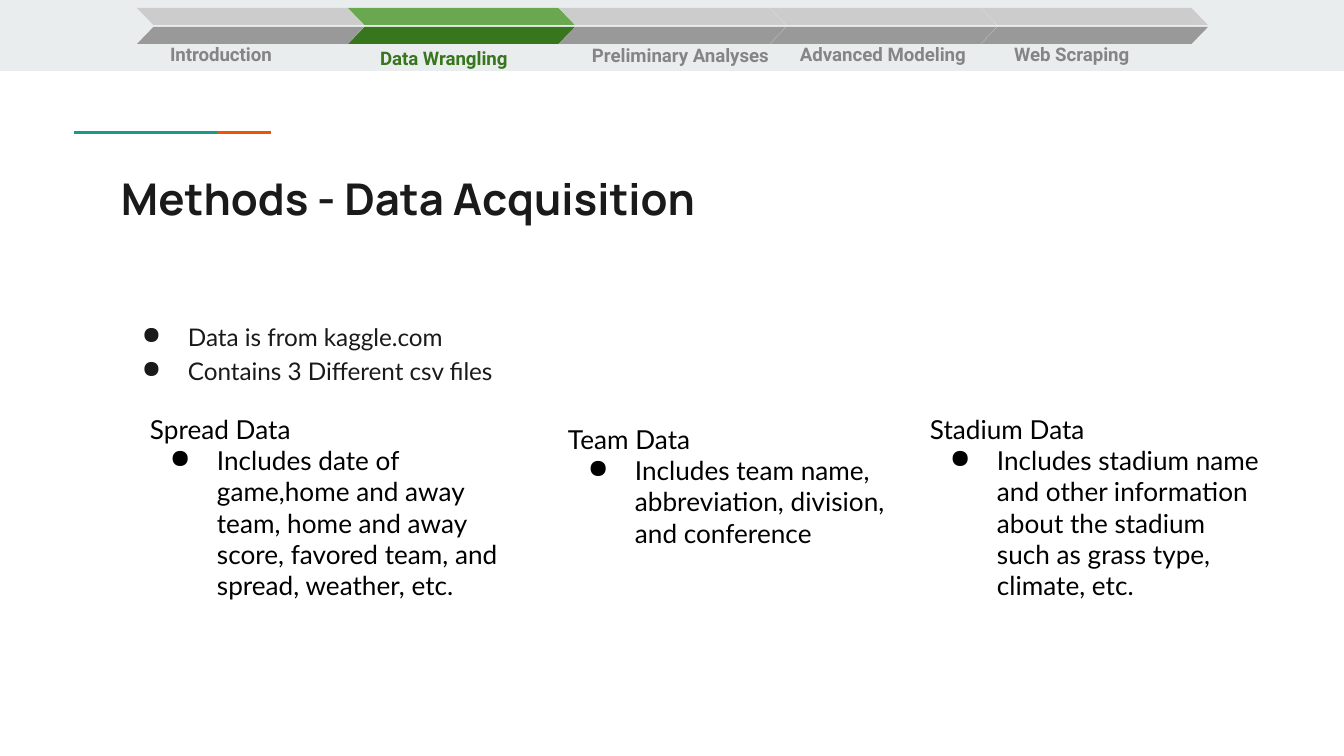
from lxml.etree import SubElement
from pptx import Presentation
from pptx.dml.color import RGBColor
from pptx.enum.shapes import MSO_SHAPE
from pptx.enum.text import MSO_ANCHOR, MSO_AUTO_SIZE
from pptx.oxml.ns import qn
from pptx.util import Emu, Pt

SCALE = 914400 / 134.4
INSET = 13
COLORS = {
    "band": "E9EDEE", "orange": "EB5600", "teal": "1A9988", "ink": "1A1A1A",
    "black": "000000", "light_gray": "CCCCCC", "gray": "999999",
    "label": "858585", "light_green": "6AA84F", "green": "38761D",
}
STAGES = [
    ("Introduction", (20, 46, 188, 32)),
    ("Data Wrangling", (19, 46, 188, 36)),
    ("Preliminary Analyses", (20, 44, 207, 35)),
    ("Advanced Modeling", (17, 42, 200, 36)),
    ("Web Scraping", (20, 39, 188, 39)),
]
ACTIVE_STAGE = "Data Wrangling"
DATA_FILES = [
    ((137, 400, 400, 249), "Spread Data",
     "Includes date of game,home and away team, home and away score, "
     "favored team, and spread, weather, etc."),
    ((555, 410, 345, 185), "Team Data",
     "Includes team name, abbreviation, division, and conference"),
    ((917, 400, 358, 218), "Stadium Data",
     "Includes stadium name and other information about the stadium "
     "such as grass type, climate, etc."),
]


def px(length):
    """Turn pixels into EMU."""
    return Emu(round(length * SCALE))


def add_block(slide, kind, box, color):
    """Add a plain filled shape without line or shadow."""
    shape = slide.shapes.add_shape(kind, *map(px, box))
    shape.shadow.inherit = False
    shape.fill.solid()
    shape.fill.fore_color.rgb = RGBColor.from_string(COLORS[color])
    shape.line.fill.background()
    return shape


def add_bullet(paragraph, color, indent):
    """Give a paragraph a round bullet and a hanging indent."""
    properties = paragraph._p.get_or_add_pPr()
    properties.set("marL", str(px(67)))
    properties.set("indent", str(-px(indent)))
    bullet_color = SubElement(properties, qn("a:buClr"))
    SubElement(bullet_color, qn("a:srgbClr")).set("val", COLORS[color])
    SubElement(properties, qn("a:buChar")).set("char", "●")


def add_text(slide, box, lines, *, font, size, color, bold=False, spacing=1.0,
             anchor=MSO_ANCHOR.TOP, bullets_from=None, indent=47, grow=False):
    """Add a text box, with bullets from the given line onward."""
    frame = slide.shapes.add_textbox(*map(px, box)).text_frame
    frame.word_wrap = True
    frame.auto_size = MSO_AUTO_SIZE.SHAPE_TO_FIT_TEXT if grow else MSO_AUTO_SIZE.NONE
    frame.vertical_anchor = anchor
    frame.margin_left = frame.margin_right = px(INSET)
    frame.margin_top = frame.margin_bottom = px(INSET)
    for index, line in enumerate(lines):
        paragraph = frame.add_paragraph() if index else frame.paragraphs[0]
        if bullets_from is not None and index >= bullets_from:
            add_bullet(paragraph, color, indent)
        paragraph.line_spacing = spacing
        run = paragraph.add_run()
        run.text = line
        run.font.name = font
        run.font.size = Pt(size)
        run.font.bold = bold
        run.font.color.rgb = RGBColor.from_string(COLORS[color])


def add_stage(slide, left, top, name, label_box):
    """Draw one chevron of the progress bar with its label."""
    active = name == ACTIVE_STAGE
    upper_color, lower_color = ("light_green", "green") if active else ("light_gray", "gray")
    upper = add_block(slide, MSO_SHAPE.PARALLELOGRAM, (left, top, 227, 17), upper_color)
    upper._element.spPr.xfrm.set("flipH", "1")
    lower = add_block(slide, MSO_SHAPE.PARALLELOGRAM, (left, top + 19, 227, 17), lower_color)
    for half in (upper, lower):
        half.adjustments[0] = 0.97
    x, y, width, height = label_box
    add_text(slide, (left + x, y, width, height), [name], font="Roboto", size=10,
             color="green" if active else "label", bold=True, spacing=1.15,
             anchor=MSO_ANCHOR.BOTTOM)


def add_progress_bar(slide, box):
    """Draw the top band with its row of stages."""
    add_block(slide, MSO_SHAPE.RECTANGLE, box, "band")
    left, top = box[:2]
    for index, (name, label_box) in enumerate(STAGES):
        add_stage(slide, left + 137 + 211 * index, top + 8, name, label_box)


def add_heading(slide, box):
    """Draw the two-colour accent and the title below it."""
    left, top, width, height = box
    for offset, color in ((54, "orange"), (0, "teal")):
        add_block(slide, MSO_SHAPE.RECTANGLE, (left + offset, top, 143, 3), color)
    add_text(slide, (left + 34, top + 28, width - 34, height - 28),
             ["Methods - Data Acquisition"],
             font="Manrope", size=23.4, color="ink", bold=True)


def add_content(slide, box):
    """Add the overview bullets and the description of each data file."""
    add_text(slide, box, ["Data is from kaggle.com", "Contains 3 Different csv files"],
             font="Lato", size=13, color="ink", spacing=1.15, bullets_from=0, indent=46)
    for file_box, name, description in DATA_FILES:
        add_text(slide, file_box, [name, description], font="Lato", size=14,
                 color="black", bullets_from=1, grow=True)


def main():
    """Build and save the slide."""
    presentation = Presentation()
    presentation.slide_width, presentation.slide_height = px(1344), px(756)
    slide = presentation.slides.add_slide(presentation.slide_layouts[6])
    add_progress_bar(slide, (0, 0, 1344, 71))
    add_heading(slide, (74, 131, 1164, 107))
    add_content(slide, (108, 305, 1130, 332))
    presentation.save("out.pptx")


if __name__ == "__main__":
    main()
